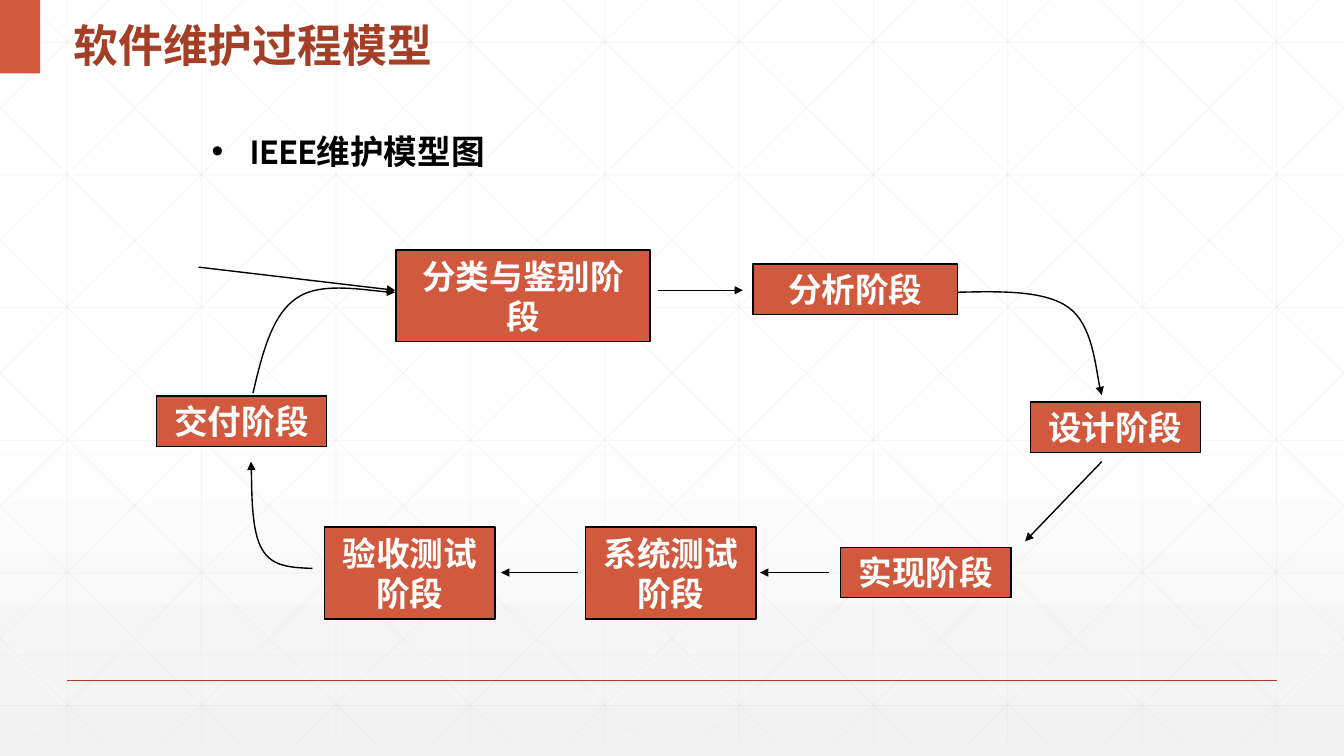
from pptx import Presentation
from pptx.dml.color import RGBColor
from pptx.enum.shapes import MSO_CONNECTOR, MSO_SHAPE
from pptx.enum.text import MSO_ANCHOR, MSO_AUTO_SIZE, PP_ALIGN
from pptx.oxml.ns import qn
from pptx.oxml.xmlchemy import OxmlElement
from pptx.util import Inches, Pt

COLORS = {"accent": "D15A3E", "dark": "A43F27", "black": "000000",
          "white": "FFFFFF", "grid": "D9D9D9", "shade": "F2F2F2"}
CELL = Inches(0.1)  # every length below counts cells of this square grid
WIDTH, HEIGHT = 133.33, 75
MESH_BOTTOM = 73.7

# Stages and arrows are given relative to the cycle's box.
CYCLE_BOX = (15.5, 24.8)
STAGES = [
    ("分类与鉴别阶段", 23.8, 0, 25.2, 9.1),
    ("分析阶段", 59.2, 1.4, 20.3, 5),
    ("设计阶段", 86.7, 15.1, 16.9, 5),
    ("实现阶段", 67.9, 29.5, 16.9, 5),
    ("系统测试阶段", 42.6, 27.5, 16.9, 9.1),
    ("验收测试阶段", 16.7, 27.5, 16.9, 9.1),
    ("交付阶段", 0, 14.5, 16.9, 5),
]
STRAIGHT_ARROWS = [
    ((4.2, 1.7), (23.7, 4)),
    ((49.8, 4), (58.2, 4)),
    ((93.8, 21), (86.2, 28.9)),
    ((66.7, 32), (59.9, 32)),
    ((41.8, 32), (34.2, 32)),
]
CURVED_ARROWS = [
    [(79.5, 4.2), (83.8, 4.1), (88.1, 4), (90.5, 5.7),
     (92.9, 7.4), (93.3, 12.8), (93.8, 14.4)],
    [(15.5, 31.6), (13.5, 31.5), (11.5, 31.5), (10.5, 29.7),
     (9.4, 27.9), (9.5, 22.6), (9.4, 21)],
    [(9.6, 14.2), (10.5, 10.3), (11.5, 6.4), (13.9, 4.8),
     (16.2, 3.1), (21.9, 4.2), (23.7, 4.2)],
]


def cells(*counts):
    return [round(count * CELL) for count in counts]


def rgb(name):
    return RGBColor.from_string(COLORS[name])


def add_element(parent, tag, **attributes):
    element = OxmlElement(tag)
    for name, value in attributes.items():
        element.set(name, value)
    parent.append(element)
    return element


def set_values(target, values):
    for name, value in values.items():
        setattr(target, name, value)


def write(frame, text, color, size, latin, asian, frame_format, para_format):
    set_values(frame, {"word_wrap": True, **frame_format})
    para = frame.paragraphs[0]
    set_values(para, para_format)
    span = para.add_run()
    span.text = text
    set_values(span.font, {"size": Pt(size), "bold": True, "name": latin})
    span.font.color.rgb = rgb(color)
    add_element(span.font._element, "a:ea", typeface=asian)
    return para


def add_line(page, start, end, color, width):
    line = page.shapes.add_connector(
        MSO_CONNECTOR.STRAIGHT, *cells(*start, *end))
    line.line.color.rgb = rgb(color)
    line.line.width = Pt(width)
    add_element(line.element.spPr, "a:effectLst")
    return line


def add_block(page, box, outlined):
    block = page.shapes.add_shape(MSO_SHAPE.RECTANGLE, *cells(*box))
    block.shadow.inherit = False
    block.fill.solid()
    block.fill.fore_color.rgb = rgb("accent")
    if outlined:
        block.line.color.rgb = rgb("black")
        block.line.width = Pt(1)
    else:
        block.line.fill.background()
    return block


def add_arrowhead(shape):
    add_element(shape.line._get_or_add_ln(), "a:tailEnd", type="triangle")


def paint_background(page):
    fill = page.background.fill
    fill.gradient()
    fill.gradient_angle = 270
    for stop, position, color in zip(
            fill.gradient_stops, (0.53, 1), ("white", "shade")):
        stop.position = position
        stop.color.rgb = rgb(color)


def mesh_lines():
    """Yield the ends of the upright, level and slanted lines."""
    step, rise = 13.33, 13.16
    for column in range(10):
        x = 6.67 + column * step
        yield (x, 0), (x, MESH_BOTTOM)
    for row in range(6):
        y = 4.2 + row * rise
        yield (0, y), (WIDTH, y)
    slope = rise / step
    for index in range(-5, 10):
        x = 2.5 + index * step
        left = max(x, 0)
        right = min(x + MESH_BOTTOM / slope, WIDTH)
        top, bottom = (left - x) * slope, (right - x) * slope
        yield (left, top), (right, bottom)
        yield (WIDTH - left, top), (WIDTH - right, bottom)


def draw_backdrop(page):
    paint_background(page)
    for start, end in mesh_lines():
        line = add_line(page, start, end, "grid", 0.5)
        for color in line.element.iter(qn("a:srgbClr")):
            add_element(color, "a:alpha", val="25000")
    add_line(page, (6.67, 67.5), (126.67, 67.5), "dark", 1)
    add_block(page, (0, 0, 4, 7.3), outlined=False)


def place_placeholder(page, holder, box):
    """Move a placeholder to its box, in front of the backdrop."""
    names = ("left", "top", "width", "height")
    set_values(holder, dict(zip(names, cells(*box))))
    page.shapes.element.append(holder.element)
    return holder.text_frame


def fill_title(page, box):
    frame = place_placeholder(page, page.shapes.title, box)
    write(frame, "软件维护过程模型", "dark", 32,
          "Noto Sans CJK SC", "Noto Sans CJK SC",
          {"vertical_anchor": MSO_ANCHOR.MIDDLE,
           "auto_size": MSO_AUTO_SIZE.NONE},
          {"alignment": PP_ALIGN.LEFT, "line_spacing": 1.3})


def fill_body(page, box):
    frame = place_placeholder(page, page.placeholders[1], box)
    para = write(frame, "IEEE维护模型图", "black", 24, "Cabin", "Cabin",
                 {"vertical_anchor": MSO_ANCHOR.TOP,
                  "auto_size": MSO_AUTO_SIZE.NONE},
                 {"alignment": PP_ALIGN.LEFT, "space_before": Pt(0)})
    properties = para._p.get_or_add_pPr()
    indent = Inches(0.38)
    properties.set("marL", str(indent))
    properties.set("indent", str(-indent))
    add_element(properties, "a:buFont", typeface="Arial")
    add_element(properties, "a:buChar", char="•")


def add_curve(page, points):
    """Draw an open cubic curve through its start and control points."""
    start, *rest = [cells(*point) for point in points]
    builder = page.shapes.build_freeform(*start)
    builder.add_line_segments(rest, close=False)
    curve = builder.convert_to_shape()
    curve.shadow.inherit = False
    curve.fill.background()
    curve.line.color.rgb = rgb("black")
    curve.line.width = Pt(1)
    segments = list(curve.element.iter(qn("a:lnTo")))
    outline = segments[0].getparent()
    for first in range(0, len(segments), 3):
        bend = add_element(outline, "a:cubicBezTo")
        for segment in segments[first:first + 3]:
            bend.append(segment[0])
            outline.remove(segment)
    return curve


def draw_cycle(page, left, top):
    def shift(point):
        return left + point[0], top + point[1]

    for name, x, y, width, height in STAGES:
        stage = add_block(page, (*shift((x, y)), width, height), outlined=True)
        write(stage.text_frame, name, "white", 24, "Times New Roman", "Cabin",
              {"vertical_anchor": MSO_ANCHOR.MIDDLE,
               "auto_size": MSO_AUTO_SIZE.SHAPE_TO_FIT_TEXT},
              {"alignment": PP_ALIGN.CENTER})
    for start, end in STRAIGHT_ARROWS:
        add_arrowhead(add_line(page, shift(start), shift(end), "black", 1))
    for points in CURVED_ARROWS:
        add_arrowhead(add_curve(page, [shift(point) for point in points]))


def main():
    deck = Presentation()
    deck.slide_width, deck.slide_height = cells(WIDTH, HEIGHT)
    page = deck.slides.add_slide(deck.slide_layouts[1])
    draw_backdrop(page)
    fill_title(page, (6.3, 0, 56.9, 7.3))
    fill_body(page, (20, 12.5, 90, 49.5))
    draw_cycle(page, *CYCLE_BOX)
    deck.save("out.pptx")


if __name__ == "__main__":
    main()
